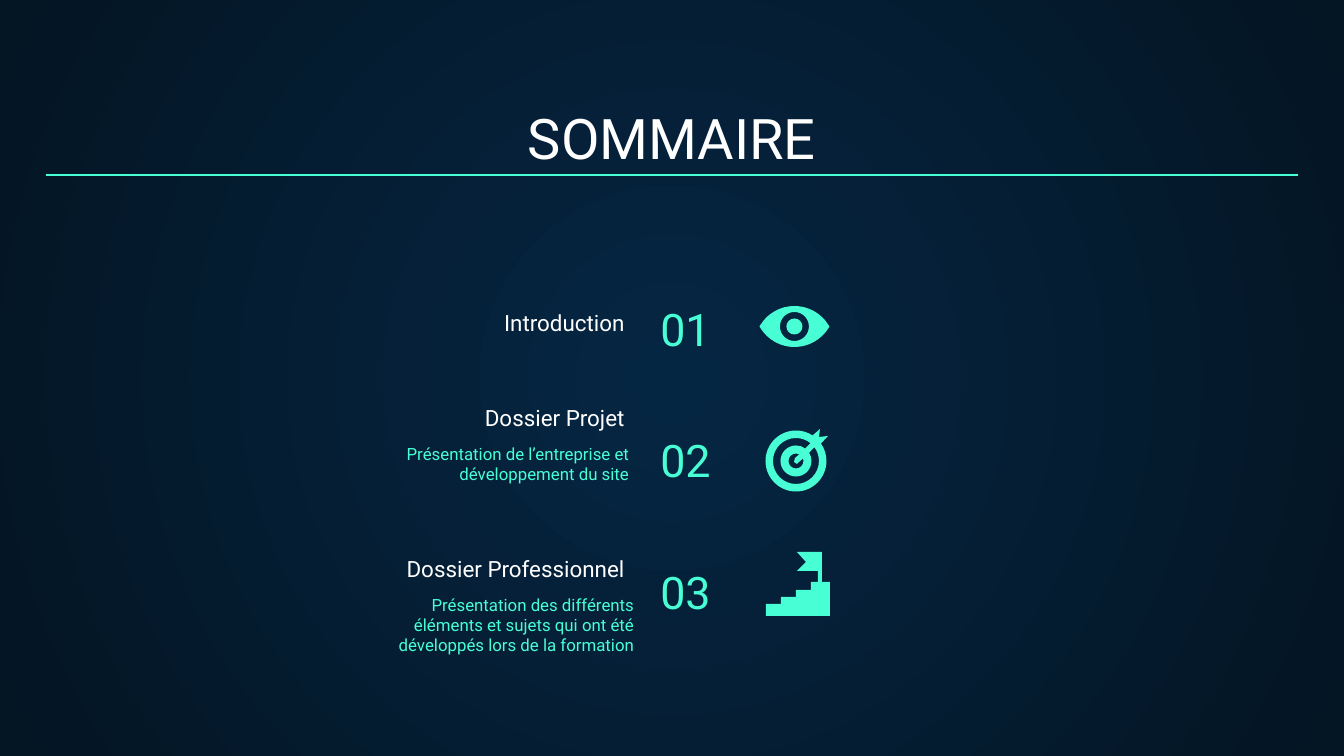
from math import cos, radians, sin, tan
from lxml import etree
from pptx import Presentation
from pptx.dml.color import RGBColor
from pptx.enum.shapes import MSO_CONNECTOR
from pptx.enum.text import MSO_ANCHOR, PP_ALIGN
from pptx.oxml.ns import qn
from pptx.util import Pt

LEFT, CENTER, RIGHT = PP_ALIGN.LEFT, PP_ALIGN.CENTER, PP_ALIGN.RIGHT
TOP, BOTTOM = MSO_ANCHOR.TOP, MSO_ANCHOR.BOTTOM
STRAIGHT = MSO_CONNECTOR.STRAIGHT

PX = 914400 / 134.4
THEME = {
    "font": "Roboto",
    "white": RGBColor.from_string("FFFFFF"),
    "mint": RGBColor.from_string("48FFD5"),
    "glow": RGBColor.from_string("052643"),
    "edge": RGBColor.from_string("041523"),
    "title": Pt(30),
    "number": Pt(24),
    "heading": Pt(12),
    "detail": Pt(9),
    "rule": Pt(0.75),
    "inset": Pt(7.2),
}


def add_text(text, box, size, color, align, anchor):
    label = slide.shapes.add_textbox(*[round(v * PX) for v in box])
    frame = label.text_frame
    frame_format = {"word_wrap": True, "vertical_anchor": anchor}
    for side in ("left", "top", "right", "bottom"):
        frame_format[f"margin_{side}"] = THEME["inset"]
    for key, value in frame_format.items():
        setattr(frame, key, value)
    paragraph = frame.paragraphs[0]
    paragraph.text = text
    paragraph.alignment = align
    font = paragraph.runs[0].font
    for key, value in {"name": THEME["font"], "size": THEME[size]}.items():
        setattr(font, key, value)
    font.color.rgb = THEME[color]


def arc(cx, cy, radius, *degrees):
    angles = [radians(d) for d in degrees]
    segments = [[(cx + radius * cos(angles[0]), cy + radius * sin(angles[0]))]]
    for a, b in zip(angles, angles[1:]):
        k = 4 / 3 * tan((b - a) / 4)
        unit = [
            (cos(a) - k * sin(a), sin(a) + k * cos(a)),
            (cos(b) + k * sin(b), sin(b) - k * cos(b)),
            (cos(b), sin(b)),
        ]
        segments.append([(cx + radius * x, cy + radius * y) for x, y in unit])
    return segments


prs = Presentation()
prs.slide_width, prs.slide_height = round(1344 * PX), round(756 * PX)
slide = prs.slides.add_slide(prs.slide_layouts[6])

backdrop = slide.background.fill
backdrop.gradient()
for stop, color in zip(backdrop.gradient_stops, ("glow", "edge")):
    stop.color.rgb = THEME[color]
gradient = slide.element.find(".//" + qn("a:gradFill"))
radial = etree.Element(qn("a:path"), {"path": "circle"})
etree.SubElement(
    radial, qn("a:fillToRect"), {side: "50000" for side in ("l", "t", "r", "b")}
)
gradient.replace(gradient.find(qn("a:lin")), radial)

add_text("SOMMAIRE", (46, 95, 1252, 89), "title", "white", CENTER, BOTTOM)
rule = slide.shapes.add_connector(
    STRAIGHT, *[round(v * PX) for v in (46, 175, 1298, 175)]
)
rule.line.color.rgb = THEME["mint"]
rule.line.width = THEME["rule"]
etree.SubElement(rule.element.spPr, qn("a:effectLst"))

sections = [
    ("Introduction", 321, 280, None),
    ("Dossier Projet", 416, 411,
     ("Présentation de l’entreprise et développement du site", 346, 430, 40)),
    ("Dossier Professionnel", 567, 543,
     ("Présentation des différents éléments et sujets qui ont été "
      "développés lors de la formation", 351, 581, 74)),
]
for index, (heading, heading_top, number_top, detail) in enumerate(sections, 1):
    add_text(heading, (333, heading_top, 305, 28), "heading", "white", RIGHT, BOTTOM)
    add_text(f"{index:02}", (647, number_top, 173, 89), "number", "mint", LEFT, BOTTOM)
    if detail:
        words, left, top, height = detail
        add_text(words, (left, top, 296, height), "detail", "mint", RIGHT, TOP)

ROUND = (0, 90, 180, 270, 360)
eye = [
    arc(794.5, 346, 40, 212, 270, 328) + arc(827.5, 326.5, 2, -59, 59)[1:]
    + arc(794.5, 307, 40, 32, 90, 148)[1:] + arc(761.5, 326.5, 2, 121, 239)[1:],
    arc(794.5, 326.5, 14.5, *ROUND),
    arc(794.5, 326.5, 8, *ROUND),
]
target = [
    arc(796, 461, 30.5, -35, 0, 90, 180, 270, 303)
    + [[(820, 429)], [(819, 437)], [(828, 436)]],
    arc(796, 461, 23, -37, 0, 90, 180, 270, 309)
    + arc(796, 461, 15.5, 306, 270, 180, 90, 0, -32),
    arc(796, 461, 7.5, -20, 0, 90, 180, 270, 297)
    + [[(795, 458)], [(794, 462)], [(797, 464)], [(799, 462)]],
]
stairs = [[[corner] for corner in (
    (797, 552), (806, 562), (797, 571), (818, 571), (818, 582), (811, 582),
    (811, 590), (796, 590), (796, 597), (781, 597), (781, 604), (766, 604),
    (766, 616), (830, 616), (830, 582), (822, 582), (822, 552),
)]]
for contours in (target, stairs, eye):
    outline = None
    for contour in contours:
        ends = [[round(v * PX) for v in segment[-1]] for segment in contour]
        if outline is None:
            outline = slide.shapes.build_freeform(*ends[0], scale=1.0)
        else:
            outline.move_to(*ends[0])
        outline.add_line_segments(ends[1:], close=True)
    icon = outline.convert_to_shape()
    steps = [segment for contour in contours for segment in contour[1:]]
    for step, straight in zip(steps, list(icon.element.iter(qn("a:lnTo")))):
        if len(step) == 3:
            curve = etree.Element(qn("a:cubicBezTo"))
            for x, y in step:
                etree.SubElement(curve, qn("a:pt"), {
                    "x": str(round(x * PX) - icon.left),
                    "y": str(round(y * PX) - icon.top),
                })
            straight.getparent().replace(straight, curve)
    icon.shadow.inherit = False
    icon.fill.solid()
    icon.fill.fore_color.rgb = THEME["mint"]
    icon.line.fill.background()

prs.save("out.pptx")
